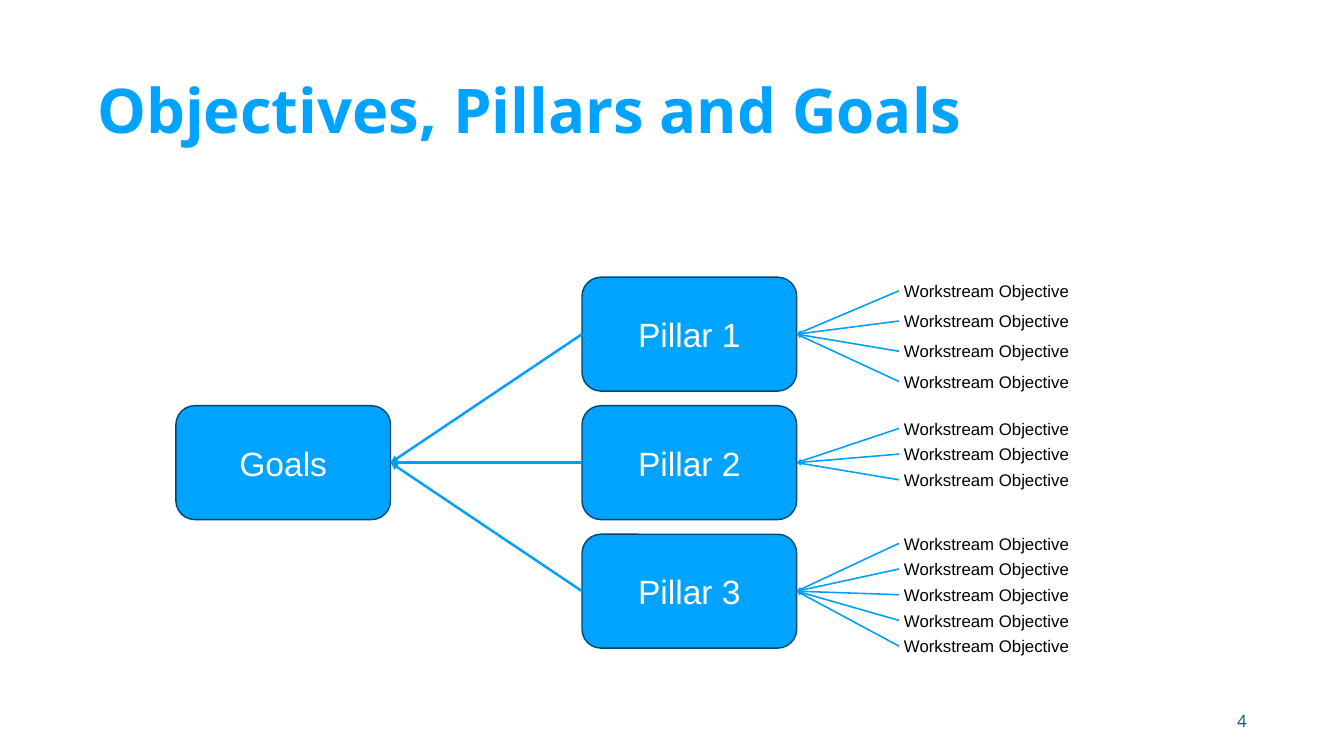
"""Build a slide that links workstream objectives to pillars and goals."""
from lxml.etree import SubElement
from pptx import Presentation
from pptx.dml.color import RGBColor
from pptx.enum.shapes import MSO_CONNECTOR as CONNECTOR, MSO_SHAPE as SHAPE
from pptx.enum.text import MSO_ANCHOR as ANCHOR, MSO_AUTO_SIZE as AUTO_SIZE, PP_ALIGN as ALIGN
from pptx.oxml.ns import qn
from pptx.util import Inches, Pt

BLUE, LINE_BLUE, DARK_BLUE = "00A3FF", "009FF9", "004770"
BOX_WIDTH, BOX_HEIGHT = 4.26, 2.26
GOALS_LEFT, PILLAR_LEFT, OBJECTIVE_LEFT = 3.49, 11.55, 17.84
PILLAR_TOP, PILLAR_STEP = 5.5, 2.55
OBJECTIVE_WIDTH, OBJECTIVE_HEIGHT = 3.51, 0.5
OBJECTIVE_GROUPS = [(5.52, 0.6, 4), (8.25, 0.51, 3), (10.53, 0.51, 5)]


def color(value):
    return RGBColor.from_string(value)


def set_text(shape, text, size, font_color, align=ALIGN.LEFT, name="Arial", bold=False):
    frame = shape.text_frame
    frame.vertical_anchor = ANCHOR.MIDDLE
    paragraph = frame.paragraphs[0]
    paragraph.text = text
    paragraph.alignment = align
    font = paragraph.font
    font.name, font.size, font.bold = name, Pt(size), bold
    font.color.rgb = color(font_color)
    return paragraph


def add_text(slide, bounds, text, size, font_color, wrap=True, **style):
    shape = slide.shapes.add_textbox(*map(Inches, bounds))
    shape.text_frame.word_wrap = wrap
    if not wrap:
        shape.text_frame.auto_size = AUTO_SIZE.SHAPE_TO_FIT_TEXT
    return set_text(shape, text, size, font_color, **style)


def add_box(slide, left, top, text):
    bounds = map(Inches, (left, top, BOX_WIDTH, BOX_HEIGHT))
    shape = slide.shapes.add_shape(SHAPE.ROUNDED_RECTANGLE, *bounds)
    shape.shadow.inherit = False
    shape.fill.solid()
    shape.fill.fore_color.rgb = color(BLUE)
    shape.line.color.rgb = color(DARK_BLUE)
    shape.line.width = Pt(2)
    set_text(shape, text, 48, "FFFFFF", ALIGN.CENTER)


def add_arrow(slide, start, end, width):
    arrow = slide.shapes.add_connector(CONNECTOR.STRAIGHT, *map(Inches, start + end))
    arrow.line.color.rgb = color(LINE_BLUE)
    arrow.line.width = Pt(width)
    SubElement(arrow.line._get_or_add_ln(), qn("a:tailEnd"), type="triangle")
    SubElement(arrow._element.spPr, qn("a:effectLst"))


def add_objectives(slide, top, step, count, target):
    for index in range(count):
        objective_top = top + index * step
        bounds = (OBJECTIVE_LEFT, objective_top, OBJECTIVE_WIDTH, OBJECTIVE_HEIGHT)
        add_text(slide, bounds, "Workstream Objective", 24, "000000", wrap=False)
        start = (OBJECTIVE_LEFT, objective_top + OBJECTIVE_HEIGHT / 2)
        add_arrow(slide, start, target, 2.25)


def main():
    presentation = Presentation()
    presentation.slide_width, presentation.slide_height = Inches(26.67), Inches(15)
    slide = presentation.slides.add_slide(presentation.slide_layouts[6])

    title = add_text(slide, (1.83, 0.8, 20.64, 2.9), "Objectives, Pillars and Goals",
                     88, BLUE, name="Open Sans", bold=True)
    title.line_spacing = 0.9
    add_text(slide, (18.84, 13.9, 6, 0.8), "4", 24, "005A83",
             align=ALIGN.RIGHT, name="Open Sans")

    goals_top = PILLAR_TOP + PILLAR_STEP
    goals_target = (GOALS_LEFT + BOX_WIDTH, goals_top + BOX_HEIGHT / 2)
    add_box(slide, GOALS_LEFT, goals_top, "Goals")
    for index, group in enumerate(OBJECTIVE_GROUPS):
        top = PILLAR_TOP + index * PILLAR_STEP
        middle = top + BOX_HEIGHT / 2
        add_box(slide, PILLAR_LEFT, top, f"Pillar {index + 1}")
        add_arrow(slide, (PILLAR_LEFT, middle), goals_target, 3.5)
        add_objectives(slide, *group, (PILLAR_LEFT + BOX_WIDTH, middle))

    presentation.save("out.pptx")


main()
